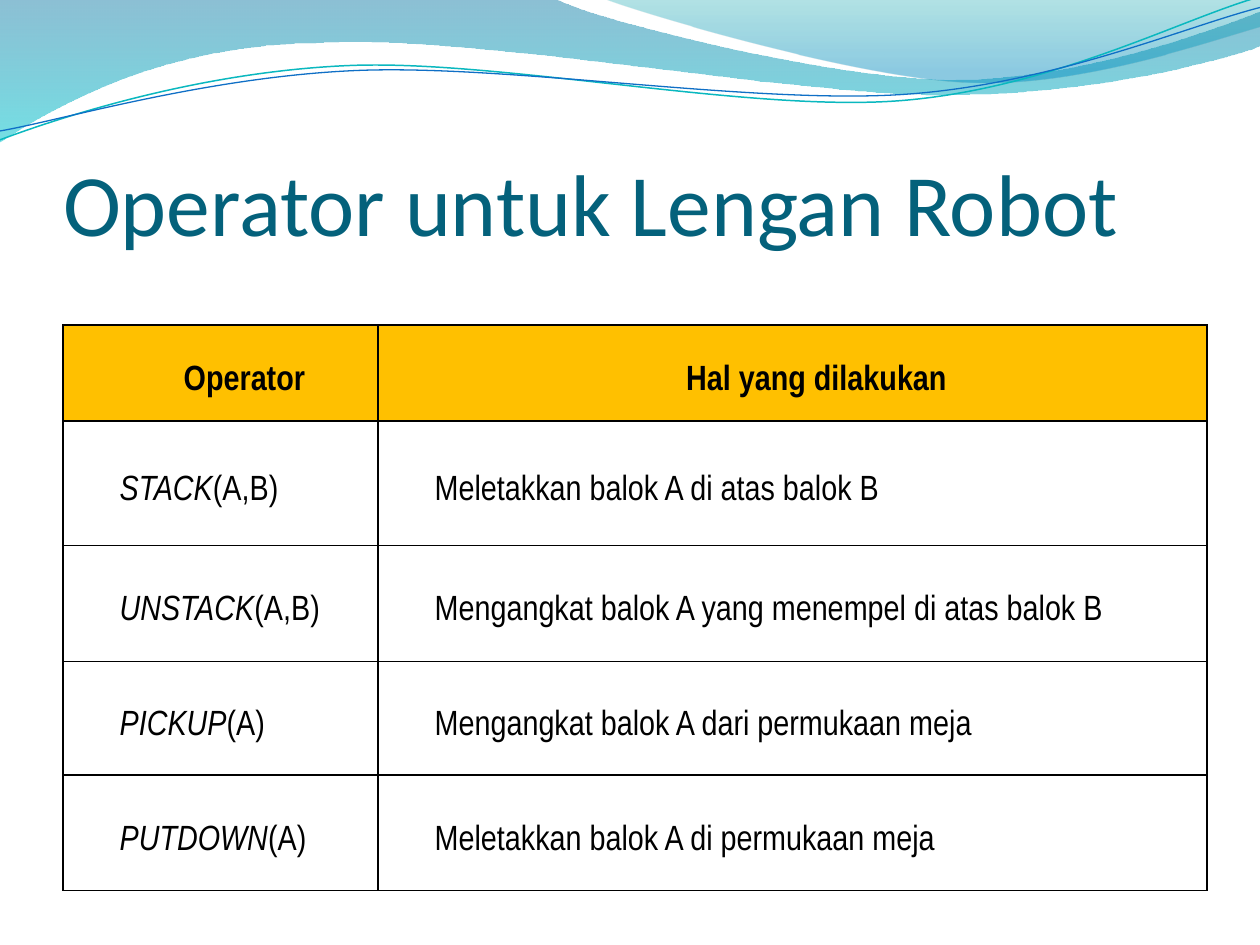
import math

import pptx
import pptx.dml.color
import pptx.enum.text
import pptx.oxml
import pptx.oxml.ns
import pptx.util
from pptx.util import Inches
from lxml import etree

COLORS = {
    "title": "04617B", "text": "000000", "border": "000000", "header": "FFC000",
    "blue": "0074A1", "cyan": "00C6CF", "teal": "00A1A9", "sky": "008BBF",
    "teal_line": "0AB8BF", "blue_line": "0F6FC6",
}
CURVE_ROTATION = 357.3

# Each outline is a start point and segments: 2 numbers for a line, 6 for a Bezier curve
LEFT_WAVE = [
    (0, -0.01), (4.4, -0.01),
    (4.76, 0.17, 6.64, 0.63, 7.58, 0.63), (8.53, 0.63, 9.58, 0.26, 10, 0.09),
    (10.01, 0.36),
    (9.83, 0.44, 8.7, 0.76, 7.46, 0.75), (6.22, 0.75, 3.82, 0.28, 2.57, 0.34),
    (1.29, 0.35, 0.46, 0.83, -0.01, 1.13), (0, -0.01),
]
RIGHT_WAVE = [
    (4.79, -0.01),
    (5.09, 0.11, 6.82, 0.62, 7.69, 0.65), (8.56, 0.69, 9.61, 0.32, 10, 0.21),
    (10, 0), (4.79, -0.01),
]
TEAL_CURVE = [
    (0, 1.11),
    (0.48, 0.93, 1.58, 0.57, 2.77, 0.52), (3.95, 0.47, 5.93, 0.89, 7.13, 0.8),
    (8.33, 0.71, 9.38, 0.15, 9.98, -0.02),
]
BLUE_CURVE = [
    (0, 1.04),
    (0.47, 0.96, 1.64, 0.61, 2.83, 0.56), (4.03, 0.51, 5.97, 0.83, 7.17, 0.75),
    (8.36, 0.67, 9.41, 0.21, 10, 0.06),
]

HEADERS = ("Operator", "Hal yang dilakukan")
OPERATORS = [
    ("STACK", "(A,B)", "Meletakkan balok A di atas balok B"),
    ("UNSTACK", "(A,B)", "Mengangkat balok A yang menempel di atas balok B"),
    ("PICKUP", "(A)", "Mengangkat balok A dari permukaan meja"),
    ("PUTDOWN", "(A)", "Meletakkan balok A di permukaan meja"),
]
COLUMN_WIDTHS = (2.5, 6.58)
ROW_HEIGHTS = (0.76, 0.99, 0.92, 0.9, 0.92)


def rgb(name):
    return pptx.dml.color.RGBColor.from_string(COLORS[name])


def rotate(outline, center, degrees):
    """Turn every point of an outline clockwise about the center."""
    cosine, sine = math.cos(math.radians(degrees)), math.sin(math.radians(degrees))
    rotated = []
    for segment in outline:
        turned = []
        for x, y in zip(segment[::2], segment[1::2]):
            dx, dy = x - center[0], y - center[1]
            turned += [center[0] + cosine * dx - sine * dy,
                       center[1] + sine * dx + cosine * dy]
        rotated.append(tuple(turned))
    return rotated


def add_outline(slide, left, top, outline, close):
    points = [(left + Inches(x), top + Inches(y)) for segment in outline
              for x, y in zip(segment[::2], segment[1::2])]
    builder = slide.shapes.build_freeform(*points[0])
    builder.add_line_segments(points[1:], close=close)
    shape = builder.convert_to_shape()
    shape.shadow.inherit = False
    # Merge the three line steps of each curve into one Bezier segment
    steps = iter(list(shape.element.spPr.iter(pptx.oxml.ns.qn("a:lnTo"))))
    for segment in outline[1:]:
        first = next(steps)
        if len(segment) == 6:
            first.tag = pptx.oxml.ns.qn("a:cubicBezTo")
            for step in (next(steps), next(steps)):
                first.append(step[0])
                step.getparent().remove(step)
    return shape


def add_wave(slide, left, top, outline, stops):
    """Add a filled wave; stops are (position, color, opacity percent)."""
    shape = add_outline(slide, left, top, outline, True)
    shape.line.fill.background()
    shape.fill.gradient()
    shape.fill.gradient_angle = 270
    for stop, (position, color, opacity) in zip(shape.fill.gradient_stops, stops):
        stop.position = position
        stop.color.rgb = rgb(color)
    color_elements = shape.element.spPr.iter(pptx.oxml.ns.qn("a:srgbClr"))
    for element, (position, color, opacity) in zip(color_elements, stops):
        alpha = etree.SubElement(element, pptx.oxml.ns.qn("a:alpha"))
        alpha.set("val", str(opacity * 1000))


def add_curve(slide, left, top, outline, center, color, width):
    level = rotate(outline, center, -CURVE_ROTATION)
    shape = add_outline(slide, left, top, level, False)
    shape.rotation = CURVE_ROTATION
    shape.fill.background()
    shape.line.color.rgb = rgb(color)
    shape.line.width = pptx.util.Pt(width)


def add_banner(slide, left, top):
    add_wave(slide, left, top, LEFT_WAVE, [(0, "blue", 45), (1, "cyan", 55)])
    add_wave(slide, left, top, RIGHT_WAVE, [(0, "teal", 30), (0.8, "sky", 45)])
    add_curve(slide, left, top, TEAL_CURVE, (4.99, 0.57), "teal_line", 0.85)
    add_curve(slide, left, top, BLUE_CURVE, (5, 0.59), "blue_line", 0.75)


def place_title(slide, left, top, width, height):
    title = slide.shapes.title
    title.left, title.top, title.width, title.height = left, top, width, height
    frame = title.text_frame
    frame.word_wrap = True
    frame.auto_size = pptx.enum.text.MSO_AUTO_SIZE.NONE
    frame.vertical_anchor = pptx.enum.text.MSO_ANCHOR.BOTTOM
    frame.margin_left = frame.margin_right = frame.margin_bottom = 0
    frame.margin_top = Inches(0.05)
    frame.text = "Operator untuk Lengan Robot"
    paragraph = frame.paragraphs[0]
    paragraph.alignment = pptx.enum.text.PP_ALIGN.LEFT
    paragraph.font.name = "Calibri"
    paragraph.font.size = pptx.util.Pt(50)
    paragraph.font.color.rgb = rgb("title")
    # Bring the title in front of the banner
    slide.shapes.element.append(title.element)


def add_borders(cell):
    properties = cell._tc.get_or_add_tcPr()
    for side in ("lnL", "lnR", "lnT", "lnB"):
        properties.append(pptx.oxml.parse_xml(
            f'<a:{side} {pptx.oxml.ns.nsdecls("a")} w="12700"><a:solidFill>'
            f'<a:srgbClr val="{COLORS["border"]}"/></a:solidFill></a:{side}>'))


def fill_cell(cell, runs, is_header):
    """Write (text, italic) runs and format the cell."""
    cell.vertical_anchor = pptx.enum.text.MSO_ANCHOR.MIDDLE
    cell.margin_left = cell.margin_right = Inches(0.07)
    cell.margin_top = cell.margin_bottom = 0
    add_borders(cell)
    if is_header:
        cell.fill.solid()
        cell.fill.fore_color.rgb = rgb("header")
    else:
        cell.fill.background()
    paragraph = cell.text_frame.paragraphs[0]
    align = pptx.enum.text.PP_ALIGN
    paragraph.alignment = align.CENTER if is_header else align.JUSTIFY
    paragraph.line_spacing = 1.5
    paragraph._p.get_or_add_pPr().set("indent", str(Inches(0.38)))
    paragraph.font.name = "Arial Narrow"
    paragraph.font.size = pptx.util.Pt(20)
    paragraph.font.bold = is_header
    paragraph.font.color.rgb = rgb("text")
    for text, italic in runs:
        run = paragraph.add_run()
        run.text = text
        if italic:
            run.font.italic = True


def add_operator_table(slide, left, top, width, height):
    table = slide.shapes.add_table(
        len(ROW_HEIGHTS), len(COLUMN_WIDTHS), left, top, width, height).table
    table.first_row = table.horz_banding = False
    for column, column_width in zip(table.columns, COLUMN_WIDTHS):
        column.width = Inches(column_width)
    for row, row_height in zip(table.rows, ROW_HEIGHTS):
        row.height = Inches(row_height)
    for index, header in enumerate(HEADERS):
        fill_cell(table.cell(0, index), [(header, False)], True)
    for index, (name, arguments, action) in enumerate(OPERATORS, start=1):
        fill_cell(table.cell(index, 0), [(name, True), (arguments, False)], False)
        fill_cell(table.cell(index, 1), [(action, False)], False)


def main():
    presentation = pptx.Presentation()
    presentation.slide_width, presentation.slide_height = Inches(10), Inches(7.5)
    slide = presentation.slides.add_slide(presentation.slide_layouts[5])
    add_banner(slide, 0, 0)
    place_title(slide, Inches(0.5), Inches(0.77), Inches(9.08), Inches(1.25))
    add_operator_table(slide, Inches(0.5), Inches(2.58), Inches(9.08), Inches(4.48))
    presentation.save("out.pptx")


if __name__ == "__main__":
    main()
